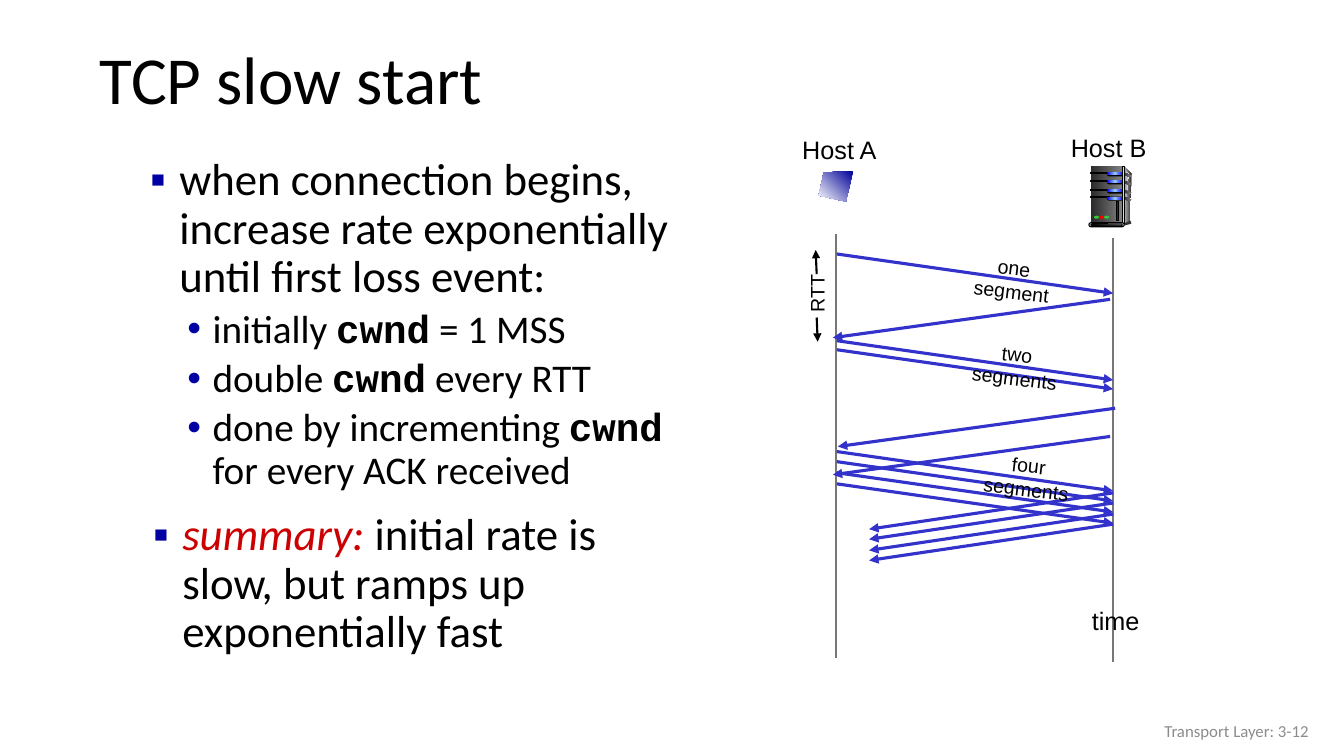
from lxml import etree
from pptx import Presentation
from pptx.dml.color import RGBColor
from pptx.enum import shapes, text
from pptx.oxml import ns
from pptx.util import Inches, Pt

BLACK = RGBColor(0x00, 0x00, 0x00)
NAVY = RGBColor(0x00, 0x00, 0xA3)
RED = RGBColor(0xCC, 0x00, 0x00)
ARROW_BLUE = RGBColor(0x33, 0x33, 0xCC)
TIMELINE_GRAY = RGBColor(0x77, 0x77, 0x77)
FOOTER_GRAY = RGBColor(0x8C, 0x8C, 0x8C)
SCREEN_BLUE = RGBColor(0x00, 0x00, 0x99)
WHITE = RGBColor(0xFF, 0xFF, 0xFF)
CHARCOAL = RGBColor(0x29, 0x29, 0x29)
DARK = RGBColor(0x33, 0x33, 0x33)
MIDDLE = RGBColor(0x80, 0x80, 0x80)
LIGHT = RGBColor(0xDD, 0xDD, 0xDD)
PALE = RGBColor(0xF8, 0xF8, 0xF8)
LAMP_BLUE = RGBColor(0x00, 0x00, 0xFF)
LAMP_PALE = RGBColor(0x99, 0xCC, 0xFF)
LED_GREEN = RGBColor(0x33, 0xCC, 0x33)
LED_RED = RGBColor(0xFF, 0x00, 0x00)

RECT = shapes.MSO_SHAPE.RECTANGLE
PILL = shapes.MSO_SHAPE.ROUNDED_RECTANGLE
OVAL = shapes.MSO_SHAPE.OVAL
LEFT, CENTER, RIGHT = text.PP_ALIGN.LEFT, text.PP_ALIGN.CENTER, text.PP_ALIGN.RIGHT

deck = Presentation()
deck.slide_width, deck.slide_height = Inches(13.33), Inches(7.5)
page = deck.slides.add_slide(deck.slide_layouts[6])


def paint(shape, colours, outline=False, angle=0):
    """Fill a shape with one colour or an even gradient."""
    shape.shadow.inherit = False
    if outline:
        shape.line.color.rgb, shape.line.width = BLACK, Pt(0.75)
    else:
        shape.line.fill.background()
    if len(colours) == 1:
        shape.fill.solid()
        shape.fill.fore_color.rgb = colours[0]
        return
    shape.fill.gradient()
    shape.fill.gradient_angle = angle
    stops = shape._element.spPr.find(ns.qn("a:gradFill")).find(ns.qn("a:gsLst"))
    for stop in list(stops):
        stops.remove(stop)
    for i, colour in enumerate(colours):
        stop = etree.SubElement(stops, ns.qn("a:gs"), pos=str(100000 * i // (len(colours) - 1)))
        etree.SubElement(stop, ns.qn("a:srgbClr"), val=str(colour))


def write(paragraph, spans, size, align=LEFT):
    """Add runs given as (words, font name, colour, bold, italic)."""
    paragraph.alignment = align
    for words, font, colour, bold, italic in spans:
        span = paragraph.add_run()
        span.text = words
        span.font.name, span.font.size = font, Pt(size)
        span.font.color.rgb = colour
        span.font.bold, span.font.italic = bold, italic


# Title and footer
for words, at, size, colour, align in [
    ("TCP slow start", (0.89, 0.28, 12.46, 0.98), 48, BLACK, LEFT),
    ("Transport Layer: 3-12", (10.08, 7.05, 3, 0.4), 12, FOOTER_GRAY, RIGHT),
]:
    box = page.shapes.add_textbox(*map(Inches, at))
    box.text_frame.word_wrap = True
    box.text_frame.vertical_anchor = text.MSO_ANCHOR.MIDDLE
    write(box.text_frame.paragraphs[0], [(words, "Calibri", colour, False, False)], size, align)

# Bulleted text: (level, spans)
plain = ("Calibri", BLACK, False, False)
cwnd = ("cwnd", "Courier New", BLACK, True, False)
start_points = [
    (0, [("when connection begins, increase rate exponentially until first loss event:", *plain)]),
    (1, [("initially ", *plain), cwnd, (" = 1 MSS", *plain)]),
    (1, [("double ", *plain), cwnd, (" every RTT", *plain)]),
    (1, [("done by incrementing ", *plain), cwnd, (" for every ACK received", *plain)]),
]
summary = [(0, [("summary: ", "Calibri", RED, False, True),
                ("initial rate is slow, but ramps up exponentially fast", *plain)])]
LEVELS = [("▪", 0.43, -0.29, 32), ("•", 0.76, -0.25, 28)]
for at, points in [((1.25, 1.51, 5.6, 3.5), start_points), ((1.28, 5.03, 5.6, 2.08), summary)]:
    frame = page.shapes.add_textbox(*map(Inches, at)).text_frame
    frame.word_wrap = True
    for i, (level, spans) in enumerate(points):
        para = frame.add_paragraph() if i else frame.paragraphs[0]
        mark, margin, indent, size = LEVELS[level]
        para.level = level
        props = para._p.get_or_add_pPr()
        props.set("marL", str(Inches(margin)))
        props.set("indent", str(Inches(indent)))
        colour = etree.SubElement(props, ns.qn("a:buClr"))
        etree.SubElement(colour, ns.qn("a:srgbClr"), val=str(NAVY))
        etree.SubElement(props, ns.qn("a:buFont"), typeface="Arial")
        etree.SubElement(props, ns.qn("a:buChar"), char=mark)
        para.line_spacing = 0.9
        para.space_before = Pt(5 if i else 0)
        write(para, spans, size)

# Timelines, RTT arrows, segments and ACKs: (from, to, colour, width, arrow)
lines = [((x, top), (x, top + 4.21), TIMELINE_GRAY, 1.5, False)
         for x, top in [(8.29, 2.32), (11.04, 2.36)]]
lines += [((8.1, 2.72), (8.09, 2.48), BLACK, 1.5, True),
          ((8.1, 3.15), (8.11, 3.39), BLACK, 1.5, True)]
lines += [((8.3, y), (11.04, y + 0.39), ARROW_BLUE, 2.25, True)
          for y in (2.52, 3.38, 3.47, 4.48, 4.58, 4.69, 4.8)]
lines += [((x, y), (x - 2.75, y + 0.38), ARROW_BLUE, 2.25, True)
          for x, y in [(11.01, 2.97), (11.06, 4.05), (11.01, 4.33)]]
lines += [((11.04, y), (8.62, y + 0.36), ARROW_BLUE, 2.25, True)
          for y in (4.89, 4.99, 5.1, 5.2)]
for start, end, colour, width, arrow in lines:
    line = page.shapes.add_connector(shapes.MSO_CONNECTOR.STRAIGHT, *map(Inches, start + end))
    line.line.color.rgb, line.line.width = colour, Pt(width)
    if arrow:
        etree.SubElement(line.line._get_or_add_ln(), ns.qn("a:tailEnd"), type="triangle")
    etree.SubElement(line._element.spPr, ns.qn("a:effectLst"))

# Diagram labels: (words, place, size, rotation, wraps)
for words, at, size, turn, wraps in [
    ("Host A", (7.85, 1.28, 0.95, 0.4), 18, 0, False),
    ("Host B", (10.52, 1.26, 0.95, 0.4), 18, 0, False),
    ("time", (10.73, 5.96, 0.67, 0.4), 18, 0, False),
    ("RTT", (7.81, 2.75, 0.58, 0.33), 14, 270, False),
    ("one segment", (9.4, 2.49, 1.32, 0.33), 14, 6.8, True),
    ("two segments", (9.39, 3.35, 1.4, 0.33), 14, 6.8, True),
    ("four segments", (9.49, 4.45, 1.43, 0.33), 14, 6.8, True),
]:
    box = page.shapes.add_textbox(*map(Inches, at))
    box.rotation = turn
    frame = box.text_frame
    frame.word_wrap = wraps
    if wraps:
        frame.margin_left = frame.margin_right = Inches(0.2)
    write(frame.paragraphs[0], [(words, "Arial", BLACK, False, False)], size, CENTER)

# Host A screen, server side panels and shelf edges: (points, colours, angle)
outlines = [
    ([(8.46, 1.7), (8.17, 1.71), (8.12, 1.94), (8.39, 2)], [SCREEN_BLUE, WHITE], 225),
    ([(11.15, 1.65), (11.22, 1.72), (11.21, 2.2), (11.13, 2.22)], [LIGHT, DARK], 0),
    ([(11.15, 1.68), (11.2, 1.73), (11.17, 1.97), (11.15, 2.2)], [MIDDLE, PALE], 0),
    ([(11.14, 2.22), (11.14, 2.24), (11.22, 2.22), (11.21, 2.19)], [DARK], 0),
]
SHELVES = (1.71, 1.79, 1.88, 1.95)
outlines += [([(11.14, y), (11.22, y + 0.03), (11.21, y + 0.05), (11.14, y + 0.02)],
              [CHARCOAL, MIDDLE], 0) for y in SHELVES]
for points, colours, angle in outlines:
    corners = [(Inches(x), Inches(y)) for x, y in points]
    builder = page.shapes.build_freeform(*corners[0], scale=1.0)
    builder.add_line_segments(corners[1:], close=True)
    paint(builder.convert_to_shape(), colours, angle=angle)

# Server front: (shape, place, colours, outlined)
parts = [(RECT, (10.82, 1.65, 0.31, 0.57), [CHARCOAL, MIDDLE], False)]
for y in SHELVES:
    parts += [
        (RECT, (10.82, y, 0.18, 0.01), [BLACK], True),
        (PILL, (10.98, y, 0.17, 0.04), [BLACK], False),
        (PILL, (10.98, y, 0.16, 0.03), [LAMP_BLUE, LAMP_PALE, LAMP_BLUE], False),
    ]
parts += [
    (RECT, (11.13, 1.65, 0.02, 0.57), [DARK, LIGHT, DARK], True),
    (OVAL, (11.21, 2.19, 0.01, 0.02), [DARK], False),
    (PILL, (10.8, 2.21, 0.35, 0.04), [LIGHT], True),
    (PILL, (10.82, 2.22, 0.31, 0.02), [BLACK, MIDDLE], True),
    (RECT, (11.07, 2, 0.02, 0.19), [CHARCOAL], True),
]
parts += [(OVAL, (10.85 + 0.05 * i, 2.14, 0.05, 0.03), [colour], False)
          for i, colour in enumerate((LED_GREEN, LED_RED, LED_GREEN))]
for kind, at, colours, outlined in parts:
    part = page.shapes.add_shape(kind, *map(Inches, at))
    if kind == PILL:
        part.adjustments[0] = 0.5
    paint(part, colours, outlined)

deck.save("out.pptx")
